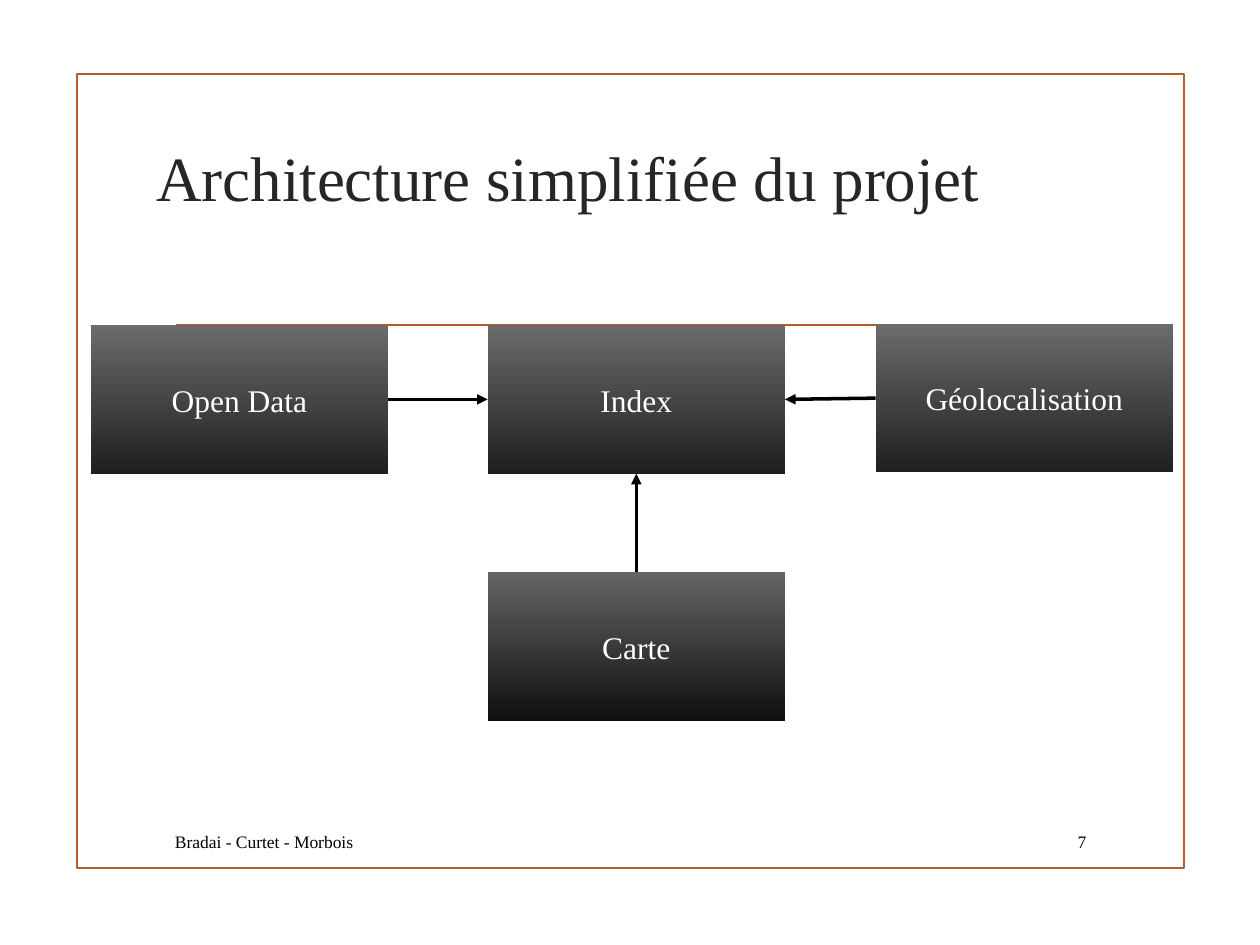
import pptx
import pptx.util
import pptx.dml.color
import pptx.enum.shapes
import pptx.enum.text
import pptx.oxml.ns
import lxml.etree
from pptx.util import Inches

# Content
TITLE = "Architecture simplifiée du projet"
AUTHORS = "Bradai - Curtet - Morbois"
PAGE_NUMBER = "7"
# Block name: left, top, gradient
BLOCKS = {
    "Open Data": (0.72, 2.58, "gray"),
    "Carte": (3.87, 4.54, "dark"),
    "Géolocalisation": (6.95, 2.57, "gray"),
    "Index": (3.87, 2.58, "gray"),
}
BLOCK_SIZE = (2.36, 1.18)
# Connection sites of a rectangle
TOP, LEFT, BOTTOM, RIGHT = range(4)
ARROWS = [
    ("Carte", TOP, "Index", BOTTOM),
    ("Géolocalisation", LEFT, "Index", RIGHT),
    ("Open Data", RIGHT, "Index", LEFT),
]

THEME = {
    "font": "Times New Roman",
    "accent": "B15E28", "title": "262626", "black": "000000", "white": "FFFFFF",
    "gray": ("6B6B6B", "1F1F1F"), "dark": ("656565", "0F0F0F"),
    "title_size": 36, "block_size": 18, "footer_size": 10,
    "frame_line": 1.25, "arrow_line": 2,
}
ALIGN = pptx.enum.text.PP_ALIGN


def color(name):
    return pptx.dml.color.RGBColor.from_string(THEME[name])


def write(shape, text, size, ink, align):
    frame = shape.text_frame
    frame.word_wrap = True
    frame.auto_size = pptx.enum.text.MSO_AUTO_SIZE.NONE
    frame.vertical_anchor = pptx.enum.text.MSO_ANCHOR.MIDDLE
    para = frame.paragraphs[0]
    para.text = text
    para.alignment = align
    para.font.name = THEME["font"]
    para.font.size = pptx.util.Pt(THEME[size])
    para.font.color.rgb = color(ink)


def outline(shape, ink, width):
    shape.line.color.rgb = color(ink)
    shape.line.width = pptx.util.Pt(THEME[width])


def add_rectangle(page, left, top, width, height):
    shape = page.shapes.add_shape(
        pptx.enum.shapes.MSO_SHAPE.RECTANGLE, *map(Inches, (left, top, width, height)))
    shape.shadow.inherit = False
    return shape


def add_line(page, left, top, right, bottom, ink, width):
    line = page.shapes.add_connector(
        pptx.enum.shapes.MSO_CONNECTOR.STRAIGHT, *map(Inches, (left, top, right, bottom)))
    outline(line, ink, width)
    lxml.etree.SubElement(line._element.spPr, pptx.oxml.ns.qn("a:effectLst"))
    return line


def add_block(page, name, left, top, gradient):
    block = add_rectangle(page, left, top, *BLOCK_SIZE)
    block.line.fill.background()
    block.fill.gradient()
    block.fill.gradient_angle = 270
    for stop, shade in zip(block.fill.gradient_stops, THEME[gradient]):
        stop.color.rgb = pptx.dml.color.RGBColor.from_string(shade)
    write(block, name, "block_size", "white", ALIGN.CENTER)
    return block


def add_arrow(page, start, start_site, end, end_site):
    arrow = add_line(page, 0, 0, 1, 1, "black", "arrow_line")
    arrow.begin_connect(start, start_site)
    arrow.end_connect(end, end_site)
    lxml.etree.SubElement(
        arrow.line._get_or_add_ln(), pptx.oxml.ns.qn("a:tailEnd"), type="triangle")


def main():
    deck = pptx.Presentation()
    deck.slide_width, deck.slide_height = Inches(10), Inches(7.5)
    page = deck.slides.add_slide(deck.slide_layouts[5])

    # Frame and rule
    border = add_rectangle(page, 0.61, 0.59, 8.79, 6.3)
    border.fill.background()
    outline(border, "accent", "frame_line")
    add_line(page, 1.4, 2.58, 8.61, 2.58, "accent", "frame_line")

    # Title
    title = page.shapes.title
    title.left, title.top, title.width, title.height = map(Inches, (0.95, 1.01, 7.12, 0.78))
    write(title, TITLE, "title_size", "title", ALIGN.CENTER)

    # Footer
    for text, left, width, align in [
        (AUTHORS, 1.29, 5.58, ALIGN.LEFT),
        (PAGE_NUMBER, 8.29, 0.43, ALIGN.RIGHT),
    ]:
        box = page.shapes.add_textbox(*map(Inches, (left, 6.52, width, 0.31)))
        write(box, text, "footer_size", "black", align)

    # Diagram
    blocks = {name: add_block(page, name, *place) for name, place in BLOCKS.items()}
    for start, start_site, end, end_site in ARROWS:
        add_arrow(page, blocks[start], start_site, blocks[end], end_site)

    deck.save("out.pptx")


if __name__ == "__main__":
    main()
